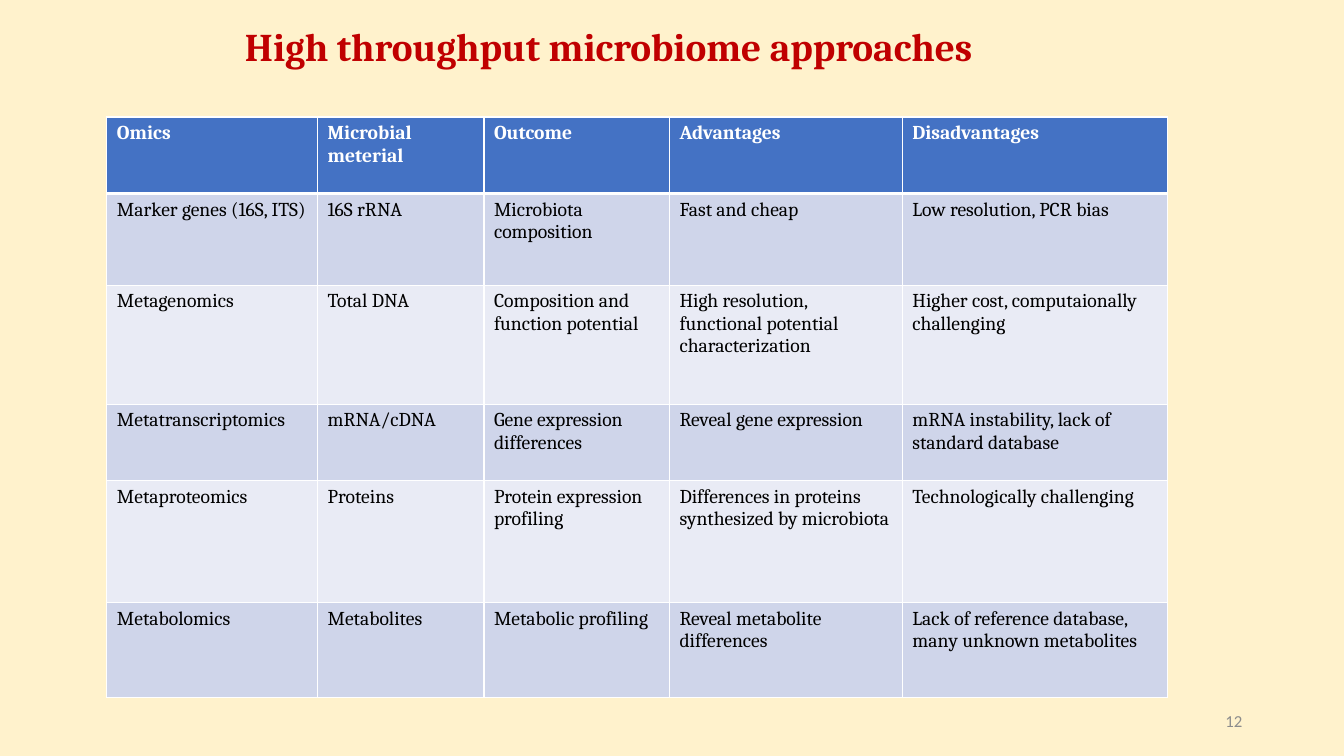
from dataclasses import dataclass

from lxml.etree import SubElement
from pptx import Presentation
from pptx.dml.color import RGBColor
from pptx.enum.text import MSO_ANCHOR as Anchor, MSO_AUTO_SIZE as AutoSize, PP_ALIGN as Align
from pptx.oxml.ns import qn
from pptx.util import Emu, Pt

EMU_PER_PX = 9144

CREAM = RGBColor(0xFF, 0xF2, 0xCC)
CRIMSON = RGBColor(0xC0, 0x00, 0x00)
BLUE = RGBColor(0x44, 0x72, 0xC4)
BAND_DARK = RGBColor(0xCF, 0xD5, 0xEA)
BAND_LIGHT = RGBColor(0xE9, 0xEB, 0xF5)
WHITE = RGBColor(0xFF, 0xFF, 0xFF)
BLACK = RGBColor(0x00, 0x00, 0x00)
GREY = RGBColor(0x8C, 0x8C, 0x8C)


@dataclass(frozen=True)
class Approach:
    height: int
    cells: tuple[str, ...]


COLUMN_WIDTHS = (209, 165, 184, 231, 263)
HEADINGS = Approach(76, ("Omics", "Microbial meterial", "Outcome", "Advantages", "Disadvantages"))
APPROACHES = (
    Approach(91, ("Marker genes (16S, ITS)", "16S rRNA", "Microbiota composition",
                  "Fast and cheap", "Low resolution, PCR bias")),
    Approach(118, ("Metagenomics", "Total DNA", "Composition and function potential",
                   "High resolution, functional potential characterization",
                   "Higher cost, computaionally challenging")),
    Approach(76, ("Metatranscriptomics", "mRNA/cDNA", "Gene expression differences",
                  "Reveal gene expression", "mRNA instability, lack of standard database")),
    Approach(121, ("Metaproteomics", "Proteins", "Protein expression profiling",
                   "Differences in proteins synthesized by microbiota",
                   "Technologically challenging")),
    Approach(94, ("Metabolomics", "Metabolites", "Metabolic profiling",
                  "Reveal metabolite differences",
                  "Lack of reference database, many unknown metabolites")),
)


def px(length: int) -> Emu:
    return Emu(length * EMU_PER_PX)


def write(frame, text: str, *, size: int, color: RGBColor, font: str = "Cambria",
          bold: bool = False, align=Align.LEFT, anchor=Anchor.TOP, spacing: float = 1.0) -> None:
    frame.word_wrap = True
    frame.vertical_anchor = anchor
    paragraph = frame.paragraphs[0]
    paragraph.alignment = align
    paragraph.line_spacing = spacing
    run = paragraph.add_run()
    run.text = text
    run.font.name = font
    run.font.size = Pt(size)
    run.font.bold = bold
    run.font.color.rgb = color


def add_borders(cell, color: RGBColor, **widths: int) -> None:
    properties = cell._tc.get_or_add_tcPr()
    for side in "LRTB":
        line = SubElement(properties, qn(f"a:ln{side}"), w=str(Pt(widths.get(side, 1))))
        fill = SubElement(line, qn("a:solidFill"))
        SubElement(fill, qn("a:srgbClr"), val=str(color))


def add_title(slide, text: str) -> None:
    title = slide.shapes.title
    title.left, title.top, title.width, title.height = map(px, (233, 22, 925, 35))
    title.text_frame.auto_size = AutoSize.NONE
    write(title.text_frame, text, size=28, color=CRIMSON, bold=True, spacing=0.9)


def add_approach_table(slide) -> None:
    rows = (HEADINGS, *APPROACHES)
    table = slide.shapes.add_table(
        len(rows), len(COLUMN_WIDTHS), px(106), px(116),
        px(sum(COLUMN_WIDTHS)), px(sum(row.height for row in rows))).table
    for column, width in zip(table.columns, COLUMN_WIDTHS):
        column.width = px(width)
    for index, row in enumerate(rows):
        table.rows[index].height = px(row.height)
        is_heading = index == 0
        band = BLUE if is_heading else BAND_DARK if index % 2 else BAND_LIGHT
        for cell, text in zip(table.rows[index].cells, row.cells):
            add_borders(cell, WHITE, T=3 if index == 1 else 1, B=3 if is_heading else 1)
            cell.fill.solid()
            cell.fill.fore_color.rgb = band
            write(cell.text_frame, text, size=14, bold=is_heading,
                  color=WHITE if is_heading else BLACK)


def add_page_number(slide, number: str) -> None:
    box = slide.shapes.add_textbox(px(942), px(695), px(300), px(40))
    write(box.text_frame, number, size=12, color=GREY, font="Calibri",
          align=Align.RIGHT, anchor=Anchor.MIDDLE)


def main() -> None:
    deck = Presentation()
    deck.slide_width, deck.slide_height = px(1333), px(750)
    slide = deck.slides.add_slide(deck.slide_layouts.get_by_name("Title Only"))
    slide.background.fill.solid()
    slide.background.fill.fore_color.rgb = CREAM
    add_title(slide, "High throughput microbiome approaches")
    add_approach_table(slide)
    add_page_number(slide, "12")
    deck.save("out.pptx")


if __name__ == "__main__":
    main()
